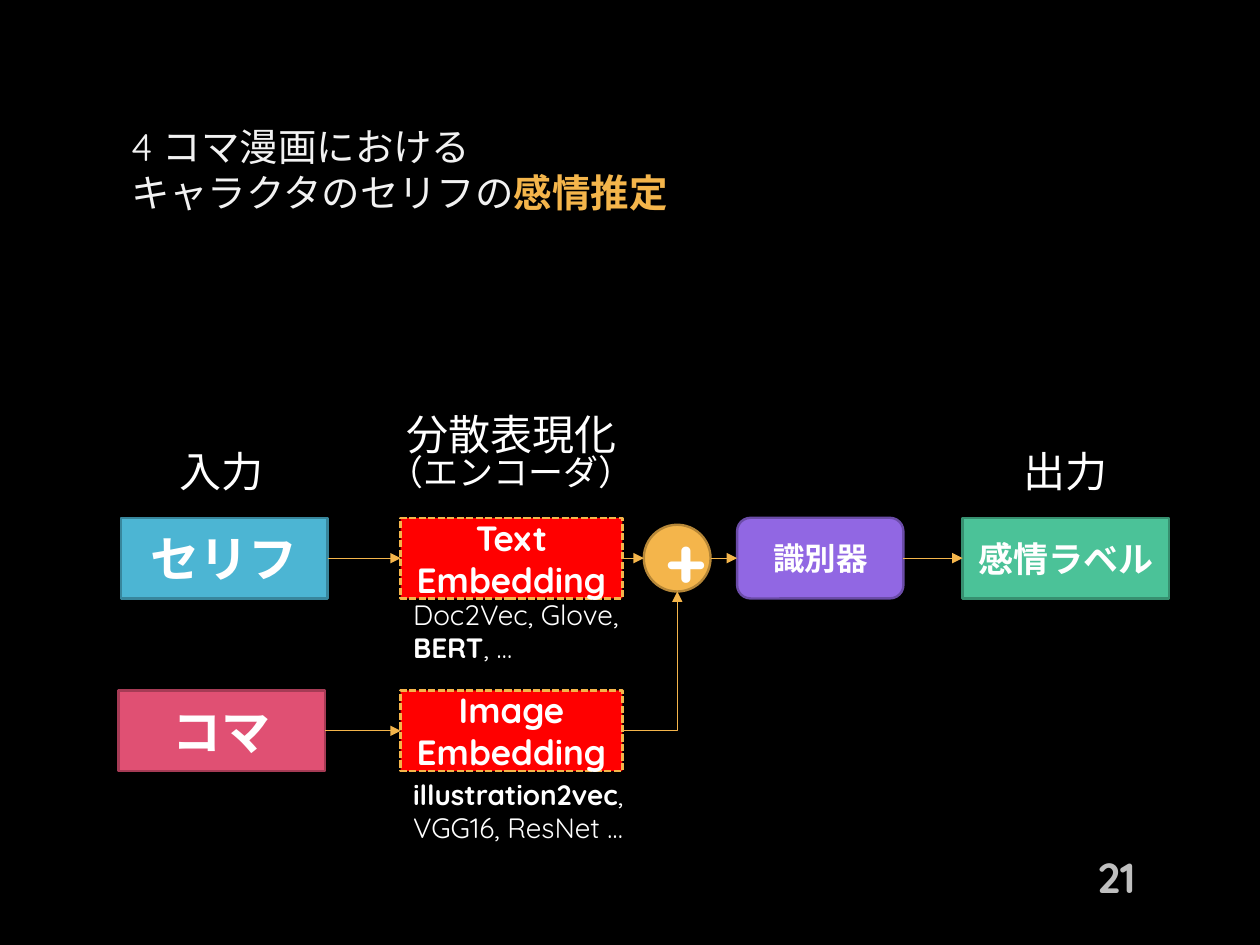
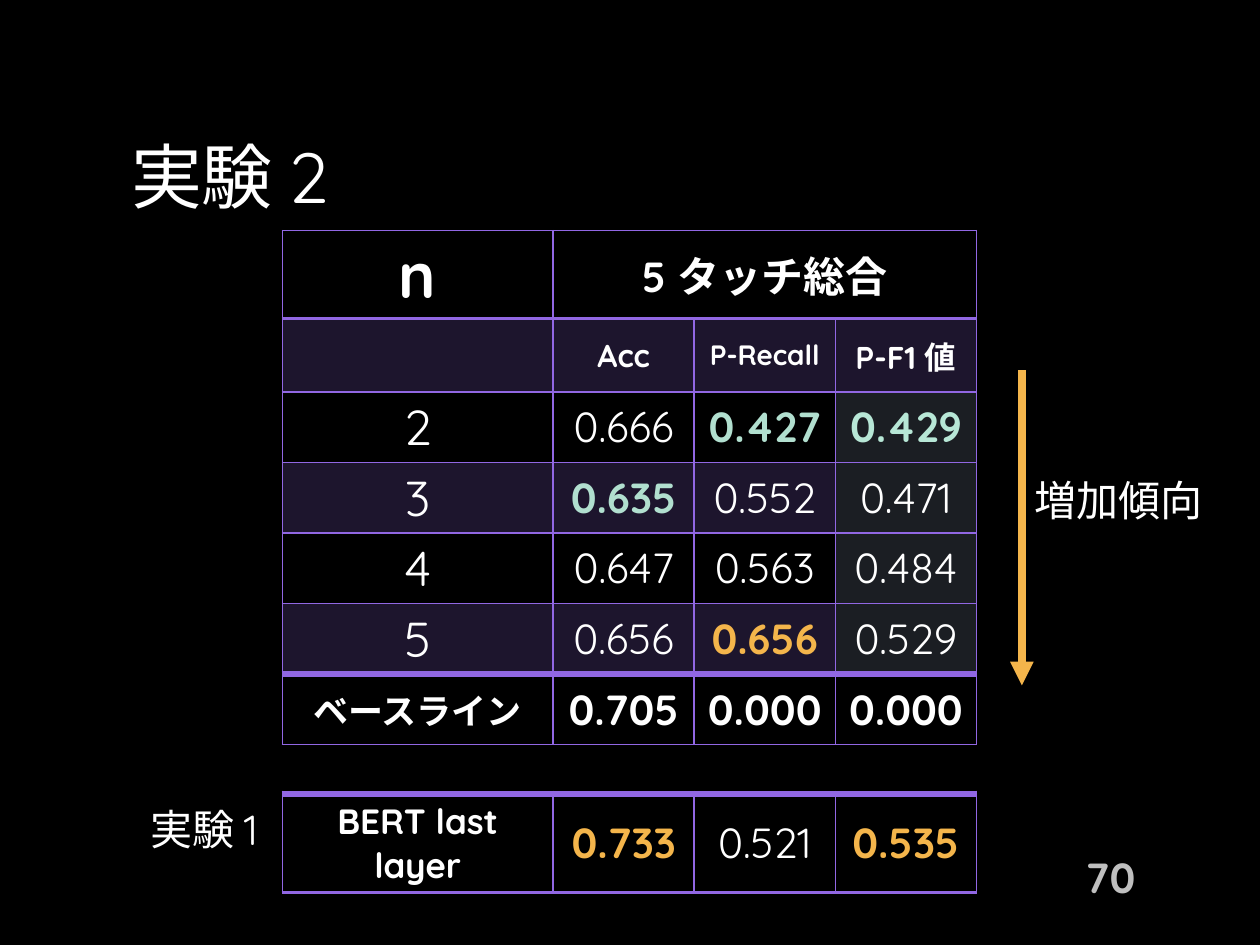
from pptx import Presentation
from pptx.dml.color import RGBColor
from pptx.enum.dml import MSO_LINE
from pptx.enum.lang import MSO_LANGUAGE_ID
from pptx.enum.shapes import MSO_CONNECTOR, MSO_SHAPE
from pptx.enum.text import MSO_ANCHOR, MSO_AUTO_SIZE, PP_ALIGN
from pptx.oxml.ns import qn
from pptx.util import Inches, Pt
from lxml import etree

LEFT, MID, RIGHT = PP_ALIGN.LEFT, PP_ALIGN.CENTER, PP_ALIGN.RIGHT
TOP, CENTRE = MSO_ANCHOR.TOP, MSO_ANCHOR.MIDDLE
RECT, ROUND, OVAL = MSO_SHAPE.RECTANGLE, MSO_SHAPE.ROUNDED_RECTANGLE, MSO_SHAPE.OVAL
STRAIGHT, ELBOW = MSO_CONNECTOR.STRAIGHT, MSO_CONNECTOR.ELBOW
DASH = MSO_LINE.SQUARE_DOT

BLACK = RGBColor(0x00, 0x00, 0x00)
WHITE = RGBColor(0xFF, 0xFF, 0xFF)
PALE = RGBColor(0xF2, 0xF2, 0xF2)
GREY = RGBColor(0xBF, 0xBF, 0xBF)
GOLD = RGBColor(0xF4, 0xB5, 0x4B)
BROWN = RGBColor(0xB5, 0x86, 0x37)
BLUE = RGBColor(0x4C, 0xB5, 0xD3)
NAVY = RGBColor(0x38, 0x86, 0x9C)
GREEN = RGBColor(0x4B, 0xC2, 0x98)
MOSS = RGBColor(0x37, 0x90, 0x70)
PINK = RGBColor(0xE0, 0x50, 0x73)
WINE = RGBColor(0xA6, 0x3B, 0x55)
RED = RGBColor(0xFF, 0x00, 0x00)
VIOLET = RGBColor(0x91, 0x67, 0xE3)
PLUM = RGBColor(0x6B, 0x4C, 0xA8)
BAND = RGBColor(0x1D, 0x15, 0x2D)
SLATE = RGBColor(0x1B, 0x1E, 0x23)
MINT = RGBColor(0xB1, 0xDF, 0xCF)
AQUA = RGBColor(0xB7, 0xE7, 0xD6)

BASE = {"name": "Quicksand", "bold": False, "language_id": MSO_LANGUAGE_ID.JAPANESE}


def write(frame, paras, size, align=MID, anchor=CENTRE, color=WHITE, bold=False):
    """Fill a frame; each paragraph is a list of (text, format changes)."""
    frame.word_wrap = True
    frame.vertical_anchor = anchor
    for i, runs in enumerate(paras):
        para = frame.paragraphs[0] if i == 0 else frame.add_paragraph()
        para.alignment = align
        for text, change in runs:
            run = para.add_run()
            run.text = text
            look = {**BASE, "size": Pt(size), "bold": bold, "color": color, **change}
            run.font.color.rgb = look.pop("color")
            for key, value in look.items():
                setattr(run.font, key, value)


def arrow(slide, start, end, width=0.75, kind=STRAIGHT):
    link = slide.shapes.add_connector(kind, *map(Inches, start + end))
    link.line.color.rgb = GOLD
    link.line.width = Pt(width)
    props = link._element.spPr
    etree.SubElement(props.find(qn("a:ln")), qn("a:tailEnd"), type="triangle")
    etree.SubElement(props, qn("a:effectLst"))
    return link


prs = Presentation()
prs.slide_width, prs.slide_height = Inches(10), Inches(7.5)
back = prs.slide_master.background.fill
back.solid()
back.fore_color.rgb = BLACK

# Titles and page numbers
HEADS = [
    ("21", 22, PALE, [[("4 コマ漫画における", {})],
                      [("キャラクタのセリフの", {}),
                       ("感情推定", {"color": GOLD, "bold": True})]]),
    ("70", 40.5, WHITE, [[("実験 2", {})]]),
]
slides = []
for page, size, color, paras in HEADS:
    slide = prs.slides.add_slide(prs.slide_layouts[5])
    title = slide.shapes.title
    title.left, title.top, title.width, title.height = map(Inches, (0.94, 0.94, 8.12, 0.9))
    title.text_frame.auto_size = MSO_AUTO_SIZE.NONE
    write(title.text_frame, paras, size, LEFT, color=color)
    if len(paras) > 1:
        title.text_frame.margin_bottom = Inches(0.15)
    foot = slide.shapes.add_textbox(*map(Inches, (7.81, 6.76, 1.3, 0.4)))
    write(foot.text_frame, [[(page, {})]], 24, RIGHT, color=GREY, bold=True)
    slides.append(slide)
flow, trial = slides

# Flow chart: two rows of boxes
HIGH, WIDE, ENC = 0.64, 1.64, 3.18
ROW1, ROW2 = 4.11, 5.48
MID1 = ROW1 + HIGH / 2
BOXES = {
    "line": (RECT, 0.96, ROW1, WIDE, HIGH, BLUE, NAVY, ["セリフ"], 28),
    "frame": (RECT, 0.94, ROW2, WIDE, HIGH, PINK, WINE, ["コマ"], 28),
    "text": (RECT, ENC, ROW1, 1.76, HIGH, RED, GOLD, ["Text", "Embedding"], 20),
    "image": (RECT, ENC, ROW2, 1.76, HIGH, RED, GOLD, ["Image", "Embedding"], 20),
    "plus": (OVAL, 5.11, MID1 - 0.265, 0.53, 0.53, GOLD, BROWN, ["+"], 40),
    "judge": (ROUND, 5.85, ROW1, 1.32, HIGH, VIOLET, PLUM, ["識別器"], 18),
    "label": (RECT, 7.64, ROW1, WIDE, HIGH, GREEN, MOSS, ["感情ラベル"], 20),
}
boxes = {}
for name, (kind, x, y, w, h, fill, edge, lines, size) in BOXES.items():
    box = flow.shapes.add_shape(kind, *map(Inches, (x, y, w, h)))
    box.shadow.inherit = False
    box.fill.solid()
    box.fill.fore_color.rgb = fill
    box.line.color.rgb = edge
    box.line.width = Pt(1.35)
    if fill == RED:
        box.line.dash_style = DASH
    write(box.text_frame, [[(text, {})] for text in lines], size, bold=True)
    boxes[name] = box

# Arrows between neighbours; only rectangles are joined
for first, last in [("line", "text"), ("frame", "image"), ("text", "plus"),
                    ("plus", "judge"), ("judge", "label")]:
    a, b = BOXES[first], BOXES[last]
    y = a[2] + a[4] / 2
    link = arrow(flow, (a[1] + a[3], y), (b[1], y))
    if first != "plus":
        link.begin_connect(boxes[first], 3)
    if last != "plus":
        link.end_connect(boxes[last], 1)
bend = arrow(flow, (ENC + 1.76, ROW2 + HIGH / 2), (5.375, MID1 + 0.265), kind=ELBOW)
bend._element.spPr.find(qn("a:prstGeom")).set("prst", "bentConnector2")

# Captions over and under the boxes
STRONG = {"bold": True}
NOTES = [
    (flow, 1.04, 3.49, 1.44, 0.5, [("入力", {})], 24, MID),
    (flow, 7.74, 3.49, 1.44, 0.5, [("出力", {})], 24, MID),
    (flow, 2.96, 3.19, 2.2, 0.5, [("分散表現化", {})], 24, MID),
    (flow, 2.8, 3.53, 2.51, 0.44, [("（エンコーダ）", {})], 20, MID),
    (flow, ENC, 4.69, 2.2, HIGH,
     [("Doc2Vec, Glove, ", {}), ("BERT", STRONG), (", …", {})], 16, LEFT),
    (flow, ENC, 6.12, 2.2, HIGH,
     [("illustration2vec", STRONG), (", VGG16, ResNet …", {})], 16, LEFT),
    (trial, 0.99, 6.33, 1.26, 0.5, [("実験 1", {})], 24, MID),
    (trial, 8.11, 3.72, 1.58, 0.5, [("増加傾向", {})], 24, LEFT),
]
for slide, x, y, w, h, runs, size, align in NOTES:
    note = slide.shapes.add_textbox(*map(Inches, (x, y, w, h)))
    write(note.text_frame, [runs], size, align, TOP)

# Result tables: text, row heights, top and bottom rule of each row
SCORES = [
    ["n", "5 タッチ総合", "", ""],
    ["", "Acc", "P-Recall", "P-F1 値"],
    ["2", "0.666", "0.427", "0.429"],
    ["3", "0.635", "0.552", "0.471"],
    ["4", "0.647", "0.563", "0.484"],
    ["5", "0.656", "0.656", "0.529"],
    ["ベースライン", "0.705", "0.000", "0.000"],
]
LAST = [["BERT last layer", "0.733", "0.521", "0.535"]]
SIZES = {"n": 36, "Acc": 18, "P-Recall": 16, "P-F1 値": 18, "ベースライン": 20,
         "BERT last layer": 20, **dict.fromkeys("2345", 28)}
MARKS = {"0.427": MINT, "0.429": AQUA, "0.635": MINT, "0.733": GOLD, "0.535": GOLD}
TABLES = [
    (1.83, SCORES, [0.7, 0.58] + [0.56] * 5, [1, 2, 1, 1, 1, 1, 4, 1]),
    (6.3, LAST, [0.78], [4, 2]),
]
COLS = [2.15] + [1.12] * 3
for y, rows, highs, rules in TABLES:
    grid = trial.shapes.add_table(len(rows), 4, *map(
        Inches, (2.24, y, sum(COLS), sum(highs)))).table
    for col, w in zip(grid.columns, COLS):
        col.width = Inches(w)
    for r, row in enumerate(rows):
        grid.rows[r].height = Inches(highs[r])
        for c, text in enumerate(row):
            cell = grid.cell(r, c)
            cell.margin_left = cell.margin_right = Inches(0.07)
            cell.margin_top = cell.margin_bottom = Inches(0.03)
            cell.vertical_anchor = CENTRE
            # Borders come before the fill in the cell's properties
            props = cell._tc.get_or_add_tcPr()
            for side, width in zip("LRTB", (1, 1, rules[r], rules[r + 1])):
                edge = etree.SubElement(props, qn("a:ln" + side), w=str(Pt(width)))
                paint = etree.SubElement(edge, qn("a:solidFill"))
                etree.SubElement(paint, qn("a:srgbClr"), val=str(VIOLET))
            body = rows is SCORES and 2 <= r <= 5
            if body and c == 3:
                shade = SLATE
            else:
                shade = BAND if r % 2 else BLACK
            cell.fill.solid()
            cell.fill.fore_color.rgb = shade
            best = body and (r, c) == (5, 2)
            color = GOLD if best else MARKS.get(text, WHITE)
            bold = color != WHITE or not (body or text == "0.521")
            if text:
                write(cell.text_frame, [[(text, {})]], SIZES.get(text, 24),
                      color=color, bold=bold)
    if rows is SCORES:
        grid.cell(0, 1).merge(grid.cell(0, 3))

# Trend arrow
arrow(trial, (8.11, 2.94), (8.11, 5.44), 4.5)

prs.save("out.pptx")
